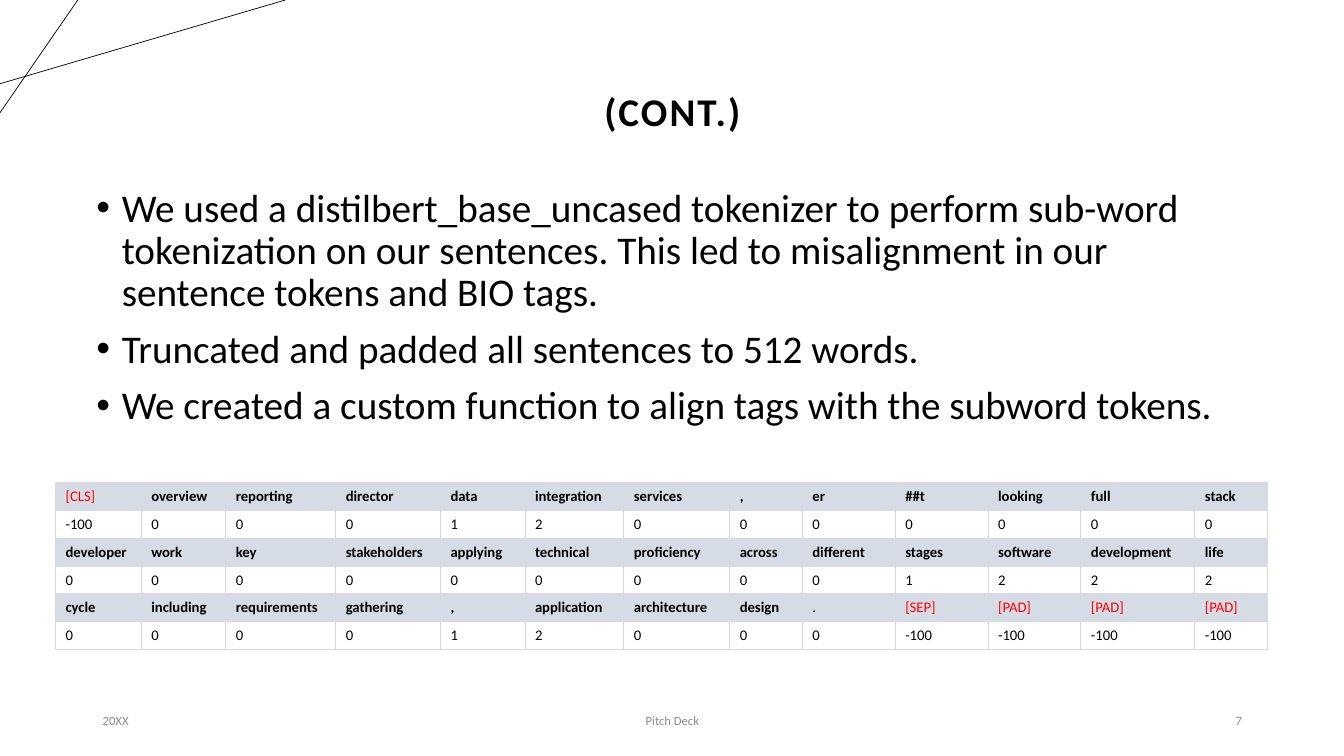
from lxml.etree import SubElement
from pptx import Presentation
from pptx.dml.color import RGBColor
from pptx.enum.shapes import MSO_CONNECTOR
from pptx.enum.text import MSO_ANCHOR, PP_ALIGN
from pptx.oxml.ns import qn
from pptx.util import Cm, Pt

BLACK, RED, GREY = "000000", "FF0000", "8C8C8C"
BAND, GRID = "D6DCE5", "D9D9E3"

TITLE = "(CONT.)"
POINTS = [
    "We used a distilbert_base_uncased tokenizer to perform sub-word "
    "tokenization on our sentences. This led to misalignment in our "
    "sentence tokens and BIO tags.",
    "Truncated and padded all sentences to 512 words.",
    "We created a custom function to align tags with the subword tokens.",
]
# Rows of tokens alternate with rows of their tags
TOKENS = [
    ["[CLS]", "overview", "reporting", "director", "data", "integration", "services",
     ",", "er", "##t", "looking", "full", "stack"],
    [-100, 0, 0, 0, 1, 2, 0, 0, 0, 0, 0, 0, 0],
    ["developer", "work", "key", "stakeholders", "applying", "technical", "proficiency",
     "across", "different", "stages", "software", "development", "life"],
    [0, 0, 0, 0, 0, 0, 0, 0, 0, 1, 2, 2, 2],
    ["cycle", "including", "requirements", "gathering", ",", "application", "architecture",
     "design", ".", "[SEP]", "[PAD]", "[PAD]", "[PAD]"],
    [0, 0, 0, 0, 1, 2, 0, 0, 0, -100, -100, -100, -100],
]
WIDTHS = [2.16, 2.13, 2.77, 2.64, 2.13, 2.49, 2.67, 1.83, 2.34, 2.34, 2.34, 2.87, 1.83]
ROW = 0.7
EDGES = {"a:lnL": 0.75, "a:lnR": 0.75, "a:lnT": 1, "a:lnB": 1}

# Text, left, width, alignment
FOOT = [
    ("20XX", 2.34, 7.62, PP_ALIGN.LEFT),
    ("Pitch Deck", 11.23, 11.43, PP_ALIGN.CENTER),
    ("7", 23.93, 7.62, PP_ALIGN.RIGHT),
]
# Start x, start y, end x, end y
RULES = [(0, 2.11, 7.19, 0), (1.96, 0, 0, 2.84)]


def color(code):
    return RGBColor.from_string(code)


def place(shape, *box):
    for name, size in zip(("left", "top", "width", "height"), box):
        setattr(shape, name, Cm(size))


def style(font, size, code=BLACK, bold=False):
    look = {"name": "Calibri", "size": Pt(size), "bold": bold}
    for name, value in look.items():
        setattr(font, name, value)
    font.color.rgb = color(code)


def layout(para, **form):
    for name, value in form.items():
        setattr(para, name, value)


def add_box(slide, *box):
    frame = slide.shapes.add_textbox(*map(Cm, box)).text_frame
    frame.word_wrap = True
    return frame


def add_bullet(para):
    props = para._p.get_or_add_pPr()
    props.set("marL", str(Cm(0.64)))
    props.set("indent", str(Cm(-0.64)))
    SubElement(props, qn("a:buFont")).set("typeface", "Arial")
    SubElement(props, qn("a:buChar")).set("char", "•")


def add_edges(cell):
    props = cell._tc.get_or_add_tcPr()
    for tag, width in EDGES.items():
        line = SubElement(props, qn(tag), w=str(Pt(width)))
        fill = SubElement(line, qn("a:solidFill"))
        SubElement(fill, qn("a:srgbClr"), val=GRID)


def add_rules(slide):
    for ends in RULES:
        rule = slide.shapes.add_connector(MSO_CONNECTOR.STRAIGHT, *map(Cm, ends))
        rule.line.color.rgb = color(BLACK)
        rule.line.width = Pt(0.5)
        SubElement(rule._element.spPr, qn("a:effectLst"))


def add_title(slide):
    title = slide.shapes.title
    place(title, 2.34, 1.02, 29.21, 3.68)
    title.text_frame.text = TITLE
    title.text_frame.vertical_anchor = MSO_ANCHOR.MIDDLE
    para = title.text_frame.paragraphs[0]
    layout(para, alignment=PP_ALIGN.CENTER, line_spacing=0.9)
    style(para.runs[0].font, 28, bold=True)
    para.runs[0].font._element.set("spc", "150")


def add_points(slide):
    frame = add_box(slide, 2.18, 4.62, 29.21, 10.26)
    frame.text = "\n".join(POINTS)
    for para in frame.paragraphs:
        layout(para, line_spacing=0.9, space_before=Pt(10))
        add_bullet(para)
        style(para.runs[0].font, 28)


def add_tokens(slide):
    table = slide.shapes.add_table(
        len(TOKENS), len(WIDTHS), Cm(1.4), Cm(12.17),
        Cm(sum(WIDTHS)), Cm(ROW * len(TOKENS))).table
    table.first_row = table.horz_banding = False
    for col, width in zip(table.columns, WIDTHS):
        col.width = Cm(width)
    for r, row in enumerate(TOKENS):
        table.rows[r].height = Cm(ROW)
        head = r % 2 == 0
        for c, value in enumerate(row):
            cell, text = table.cell(r, c), str(value)
            cell.text = text
            cell.vertical_anchor = MSO_ANCHOR.MIDDLE
            add_edges(cell)
            if head:
                cell.fill.solid()
                cell.fill.fore_color.rgb = color(BAND)
            else:
                cell.fill.background()
            mark = text.startswith("[")
            style(cell.text_frame.paragraphs[0].runs[0].font, 10.5,
                  RED if mark else BLACK, head and not mark and text != ".")


def add_foot(slide):
    for text, left, width, align in FOOT:
        frame = add_box(slide, left, 17.65, width, 1.02)
        frame.text = text
        frame.vertical_anchor = MSO_ANCHOR.MIDDLE
        para = frame.paragraphs[0]
        para.alignment = align
        style(para.runs[0].font, 9, GREY)


def main():
    deck = Presentation()
    deck.slide_width, deck.slide_height = Cm(33.87), Cm(19.05)
    slide = deck.slides.add_slide(deck.slide_layouts[5])
    for part in (add_rules, add_title, add_foot, add_points, add_tokens):
        part(slide)
    deck.save("out.pptx")


if __name__ == "__main__":
    main()
